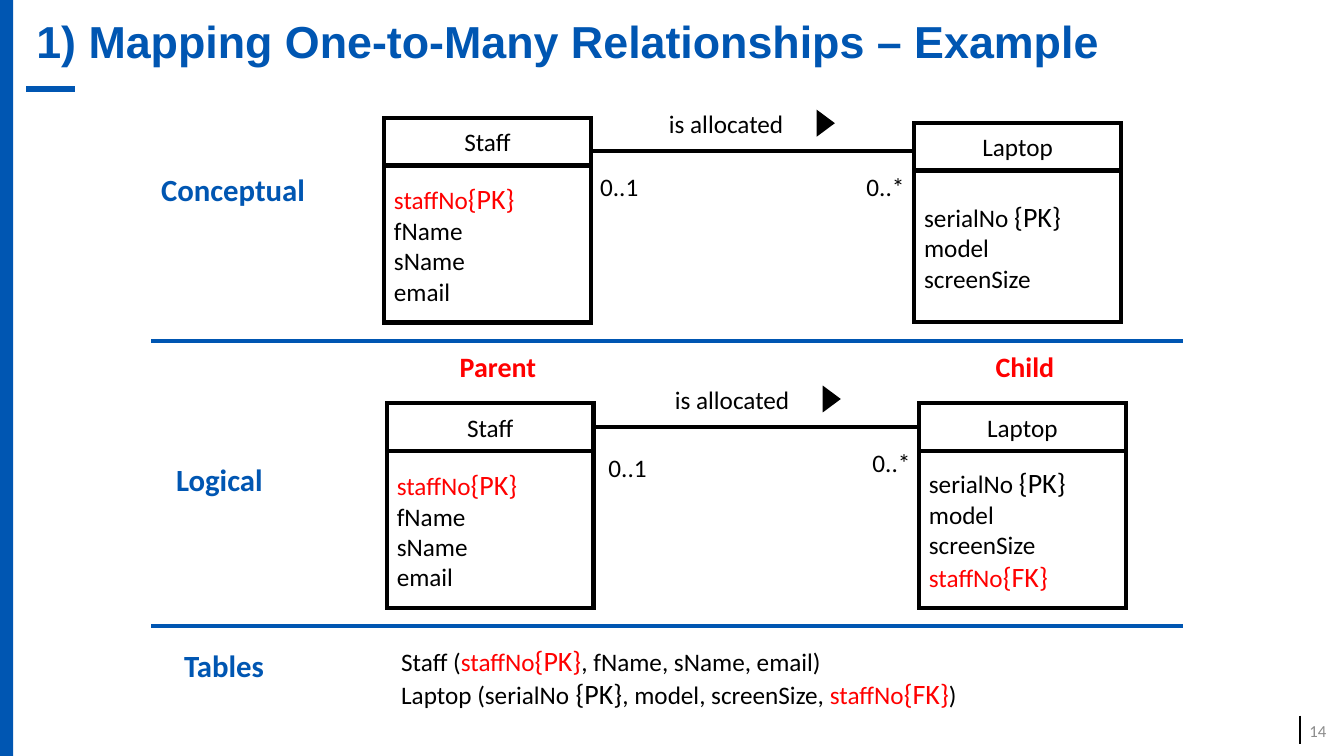
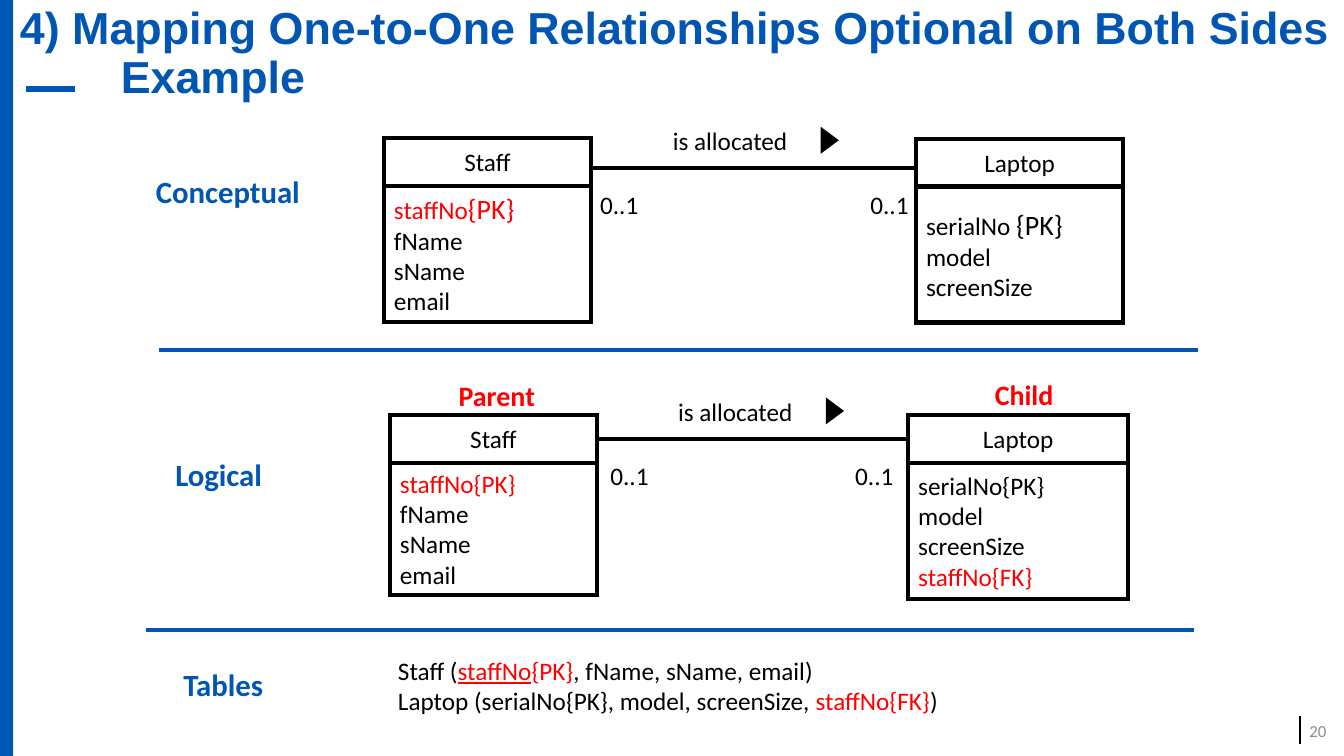
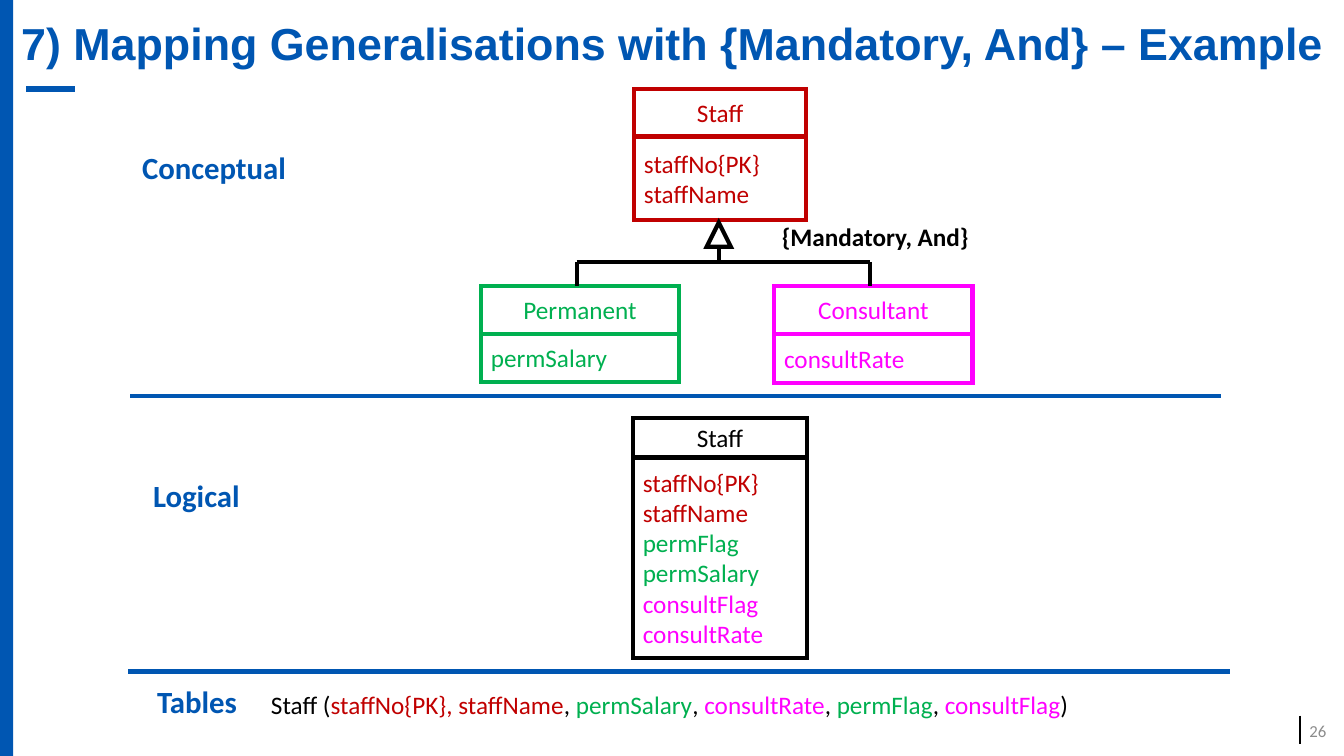
from typing import NamedTuple

from lxml import etree
from pptx import Presentation
from pptx.dml.color import RGBColor
from pptx.enum.shapes import MSO_CONNECTOR, MSO_SHAPE
from pptx.enum.text import MSO_ANCHOR, MSO_AUTO_SIZE, PP_ALIGN
from pptx.oxml.ns import qn
from pptx.util import Cm, Pt

LEFT, CENTER, RIGHT = PP_ALIGN.LEFT, PP_ALIGN.CENTER, PP_ALIGN.RIGHT
TOP, MIDDLE = MSO_ANCHOR.TOP, MSO_ANCHOR.MIDDLE
NO_AUTOFIT = MSO_AUTO_SIZE.NONE
RECTANGLE, TRIANGLE = MSO_SHAPE.RECTANGLE, MSO_SHAPE.ISOSCELES_TRIANGLE
STRAIGHT = MSO_CONNECTOR.STRAIGHT
TITLE_ONLY = 5
SIDE_RIGHT, SIDE_LEFT = 3, 1


class Theme:
    blue = "0056B2"
    black = "000000"
    red = "FF0000"
    dark_red = "C00000"
    green = "00B050"
    magenta = "FF00FF"
    grey = "8C8C8C"
    title_font = "Arial"
    body_font = "Calibri"
    title_size = 32
    section_size = 22
    key_size = 20
    body_size = 18
    number_size = 12
    line_width = 3


class Span(NamedTuple):
    text: str
    color: str = Theme.black
    size: int = Theme.body_size
    bold: bool = False
    underline: bool = False
    font: str = Theme.body_font


HEAD_HEIGHT = 1.2
ENTITY_WIDTH = 5.21
TITLE_TAB = 2.54

STAFF_NO = Span("staffNo", Theme.red)
PRIMARY_KEY = Span("{PK}", Theme.red, Theme.key_size)
FOREIGN_KEY = Span("{FK}", Theme.red, Theme.key_size)
STAFF_LINES = [[STAFF_NO, PRIMARY_KEY], "fName", "sName", "email"]
LAPTOP_LINES = [["serialNo ", Span("{PK}", size=Theme.key_size)], "model", "screenSize"]


def rgb(color):
    return RGBColor.from_string(color)


def write(frame, lines, align=LEFT, anchor=TOP):
    """Fill a text frame; a line is a string, a Span, or a list of these."""
    frame.word_wrap = True
    frame.auto_size = NO_AUTOFIT
    frame.vertical_anchor = anchor
    for index, line in enumerate(lines):
        para = frame.add_paragraph() if index else frame.paragraphs[0]
        para.alignment = align
        for part in line if type(line) is list else [line]:
            span = Span(part) if isinstance(part, str) else part
            run = para.add_run()
            run.text = span.text
            font = run.font
            font.name, font.size = span.font, Pt(span.size)
            font.bold, font.underline = span.bold, span.underline
            font.color.rgb = rgb(span.color)


def add_text(page, left, top, width, height, lines, align=LEFT, anchor=TOP):
    box = page.shapes.add_textbox(Cm(left), Cm(top), Cm(width), Cm(height))
    write(box.text_frame, lines, align, anchor)
    return box


def add_shape(page, kind, left, top, width, height, fill=None, line=None,
              line_width=Theme.line_width):
    shape = page.shapes.add_shape(kind, Cm(left), Cm(top), Cm(width), Cm(height))
    shape.shadow.inherit = False
    if fill:
        shape.fill.solid()
        shape.fill.fore_color.rgb = rgb(fill)
    else:
        shape.fill.background()
    if line:
        shape.line.color.rgb = rgb(line)
        shape.line.width = Pt(line_width)
        outline = shape._element.spPr.find(qn("a:ln"))
        etree.SubElement(outline, qn("a:miter"), lim="800000")
    else:
        shape.line.fill.background()
    return shape


def add_line(page, x1, y1, x2, y2, color=Theme.black, width=Theme.line_width):
    line = page.shapes.add_connector(STRAIGHT, Cm(x1), Cm(y1), Cm(x2), Cm(y2))
    line.line.color.rgb = rgb(color)
    line.line.width = Pt(width)
    etree.SubElement(line._element.spPr, qn("a:effectLst"))
    return line


def add_entity(page, name, lines, left, top, body_height, width=ENTITY_WIDTH,
               color=Theme.black, head_height=HEAD_HEIGHT):
    """Draw a class box and return its head."""
    head = add_shape(page, RECTANGLE, left, top, width, head_height, line=color)
    write(head.text_frame, [Span(name, color)], CENTER, MIDDLE)
    body = add_shape(page, RECTANGLE, left, top + head_height, width, body_height, line=color)
    write(body.text_frame, lines, LEFT, MIDDLE)
    return head


def add_relation(page, staff, laptop, label_left, multiplicities, y=None):
    """Link two heads at height y, or join the middles of their sides."""
    joined = y is None
    if joined:
        y = (staff.top + staff.height / 2) / Cm(1)
    start, end = (staff.left + staff.width) / Cm(1), laptop.left / Cm(1)
    line = add_line(page, start, y, end, y)
    if joined:
        line.begin_connect(staff, SIDE_RIGHT)
        line.end_connect(laptop, SIDE_LEFT)
    add_text(page, label_left, y - 1.2, 5, 1.02, ["is allocated"], CENTER, MIDDLE)
    arrow = add_shape(page, TRIANGLE, label_left + 4.7, y - 0.91, 0.61, 0.41,
                      Theme.black, Theme.black, 1)
    arrow.rotation = 90
    for text, left, top in multiplicities:
        add_text(page, left, top, 2.21, 1.02, [text], CENTER)


def add_sections(page, places):
    for name, (left, top) in zip(("Conceptual", "Logical", "Tables"), places):
        label = Span(name, Theme.blue, Theme.section_size, bold=True)
        add_text(page, left, top, 4.78, 1.19, [label])


def add_dividers(page, dividers):
    for start, end, y in dividers:
        add_line(page, start, y, end, y, Theme.blue)


def add_roles(page, places):
    for name, (left, top) in zip(("Parent", "Child"), places):
        role = Span(name, Theme.red, Theme.key_size, bold=True)
        add_text(page, left, top, 4.78, 1.12, [role], CENTER)


def add_tables_text(page, left, top, width, height, lines):
    box = add_text(page, left, top, width, height, lines)
    for para in box.text_frame.paragraphs:
        properties = para._p.get_or_add_pPr()
        properties.set("marL", str(Cm(2.06)))
        properties.set("indent", str(Cm(-0.79)))


def decorate_layout(page):
    """Draw the shared band and rules, and move them to the page's layout."""
    shared = [
        add_shape(page, RECTANGLE, 0, 0, 0.33, 19.05, Theme.blue),
        add_line(page, 32.77, 18.03, 32.77, 18.75, width=1.5),
        add_line(page, 1.88, 2.24, 0.66, 2.24, Theme.blue, 4),
    ]
    for shape in shared:
        page.slide_layout.shapes._spTree.append(shape._element)


def set_tab(para, position):
    stops = etree.SubElement(para._p.get_or_add_pPr(), qn("a:tabLst"))
    etree.SubElement(stops, qn("a:tab"), pos=str(Cm(position)), algn="l")


def add_page(deck, title, number, left, top, width, height):
    page = deck.slides.add_slide(deck.slide_layouts[TITLE_ONLY])
    heading = page.shapes.title
    heading.left, heading.top = Cm(left), Cm(top)
    heading.width, heading.height = Cm(width), Cm(height)
    span = Span(title, Theme.blue, Theme.title_size, bold=True, font=Theme.title_font)
    write(heading.text_frame, [span], LEFT, MIDDLE)
    para = heading.text_frame.paragraphs[0]
    para.line_spacing = 0.9
    set_tab(para, TITLE_TAB)
    page_number = Span(str(number), Theme.grey, Theme.number_size)
    add_text(page, 32.61, 17.91, 1.07, 1.02, [page_number], RIGHT, MIDDLE)
    return page


def one_to_many(deck):
    page = add_page(deck, "1) Mapping One-to-Many Relationships – Example", 14,
                    0.66, 0, 32.87, 2.24)
    decorate_layout(page)
    add_sections(page, [(3.81, 4.17), (4.19, 11.48), (4.39, 16.18)])
    add_dividers(page, [(3.81, 29.82, 8.59), (3.81, 29.82, 15.77)])

    staff = add_entity(page, "Staff", STAFF_LINES, 9.68, 2.97, 3.96)
    laptop = add_entity(page, "Laptop", LAPTOP_LINES, 23.04, 3.1, 3.81)
    add_relation(page, staff, laptop, 15.8,
                 [("0..1", 14.5, 4.19), ("0..*", 21.21, 4.19)], y=3.81)

    add_roles(page, [(10.16, 8.69), (23.44, 8.69)])
    staff = add_entity(page, "Staff", STAFF_LINES, 9.75, 10.16, 3.96)
    laptop = add_entity(page, "Laptop", LAPTOP_LINES + [[STAFF_NO, FOREIGN_KEY]],
                        23.16, 10.16, 3.96)
    add_relation(page, staff, laptop, 15.95,
                 [("0..1", 14.71, 11.28), ("0..*", 21.36, 11.15)])

    add_tables_text(page, 8.59, 16.08, 21.01, 2.29, [
        ["Staff (", STAFF_NO, PRIMARY_KEY, ", fName, sName, email)"],
        ["Laptop (serialNo", Span(" {PK}", size=Theme.key_size),
         ", model, screenSize, ", STAFF_NO, FOREIGN_KEY, ")"],
    ])


def one_to_one(deck):
    page = add_page(deck, "4) Mapping One-to-One Relationships Optional on Both Sides \tExample",
                    20, 0.25, 0, 33.63, 2.74)
    add_sections(page, [(3.68, 4.24), (4.17, 11.35), (4.37, 16.64)])
    add_dividers(page, [(4.01, 30.2, 8.81), (3.68, 30.1, 15.88)])

    staff = add_entity(page, "Staff", STAFF_LINES, 9.68, 3.48, 3.43)
    laptop = add_entity(page, "Laptop", LAPTOP_LINES, 23.09, 3.5, 3.43)
    add_relation(page, staff, laptop, 15.9,
                 [("0..1", 14.5, 4.65), ("0..1", 21.31, 4.65)], y=4.24)

    add_roles(page, [(10.13, 9.42), (23.42, 9.4)])
    foreign_key = Span("staffNo{FK}", Theme.red)
    staff = add_entity(page, "Staff", [Span("staffNo{PK}", Theme.red)] + STAFF_LINES[1:],
                       9.83, 10.46, 3.33)
    laptop = add_entity(page, "Laptop", ["serialNo{PK}", "model", "screenSize", foreign_key],
                        22.89, 10.46, 3.43, width=5.54)
    add_relation(page, staff, laptop, 16.03,
                 [("0..1", 14.76, 11.48), ("0..1", 20.93, 11.48)])

    add_tables_text(page, 8.51, 16.38, 21.44, 2.31, [
        ["Staff (", Span("staffNo", Theme.red, underline=True), Span("{PK}", Theme.red),
         ", fName, sName, email)"],
        ["Laptop (serialNo{PK}, model, screenSize, ", foreign_key, ")"],
    ])


def generalisation(deck):
    page = add_page(deck, "7) Mapping Generalisations with {Mandatory, And} – Example", 26,
                    0.28, 0.05, 33.58, 2.24)
    add_sections(page, [(3.33, 3.63), (3.61, 11.89), (3.71, 17.07)])
    add_dividers(page, [(3.28, 30.78, 9.98), (3.23, 30.99, 16.92)])

    staff_no, staff_name = [Span(text, Theme.dark_red) for text in ("staffNo{PK}", "staffName")]
    perm_flag, perm_salary = [Span(text, Theme.green) for text in ("permFlag", "permSalary")]
    consult_flag, consult_rate = [
        Span(text, Theme.magenta) for text in ("consultFlag", "consultRate")]

    add_entity(page, "Staff", [staff_no, staff_name], 15.98, 2.24, 2.11, 4.34, Theme.dark_red)
    add_entity(page, "Permanent", [perm_salary], 12.12, 7.21, 1.22, 5, Theme.green)
    add_entity(page, "Consultant", [consult_rate], 19.51, 7.21, 1.24, 5, Theme.magenta)

    add_shape(page, TRIANGLE, 17.81, 5.61, 0.61, 0.61, line=Theme.black)
    fork_y = 6.6
    add_line(page, 18.11, 6.22, 18.11, fork_y)
    add_line(page, 14.53, fork_y, 21.92, fork_y)
    for x in (14.55, 21.92):
        add_line(page, x, fork_y, x, 7.21)
    add_text(page, 18.16, 5.44, 7.8, 1.02, [Span("{Mandatory, And}", bold=True)], CENTER)

    add_entity(page, "Staff", [staff_no, staff_name, perm_flag, perm_salary,
                               consult_flag, consult_rate],
               15.95, 10.54, 5.05, 4.39, head_height=0.99)
    add_tables_text(page, 5.31, 17.25, 24.66, 1.02, [
        ["Staff (", Span("staffNo{PK}, staffName", Theme.dark_red), ", ", perm_salary, ", ",
         consult_rate, ", ", perm_flag, ", ", consult_flag, ")"],
    ])


def main():
    deck = Presentation()
    deck.slide_width, deck.slide_height = Cm(33.87), Cm(19.05)
    one_to_many(deck)
    one_to_one(deck)
    generalisation(deck)
    deck.save("out.pptx")


if __name__ == "__main__":
    main()
